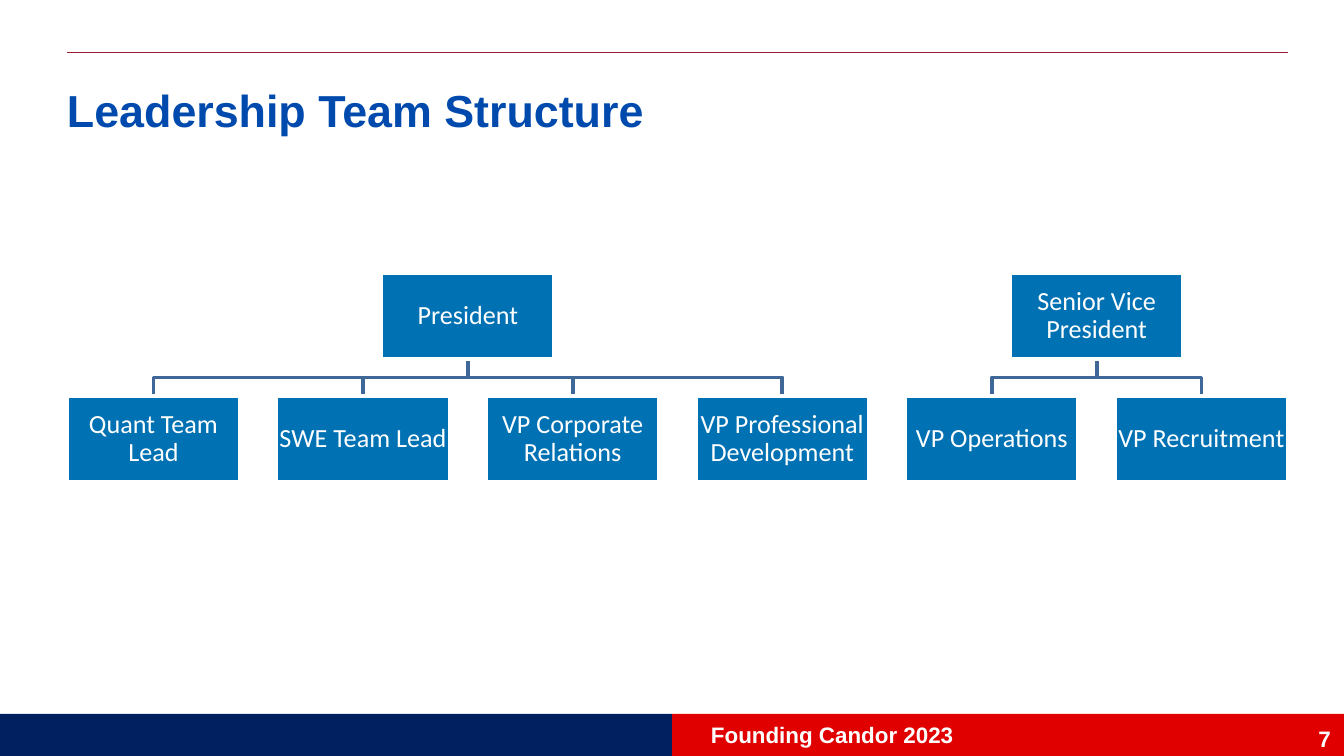
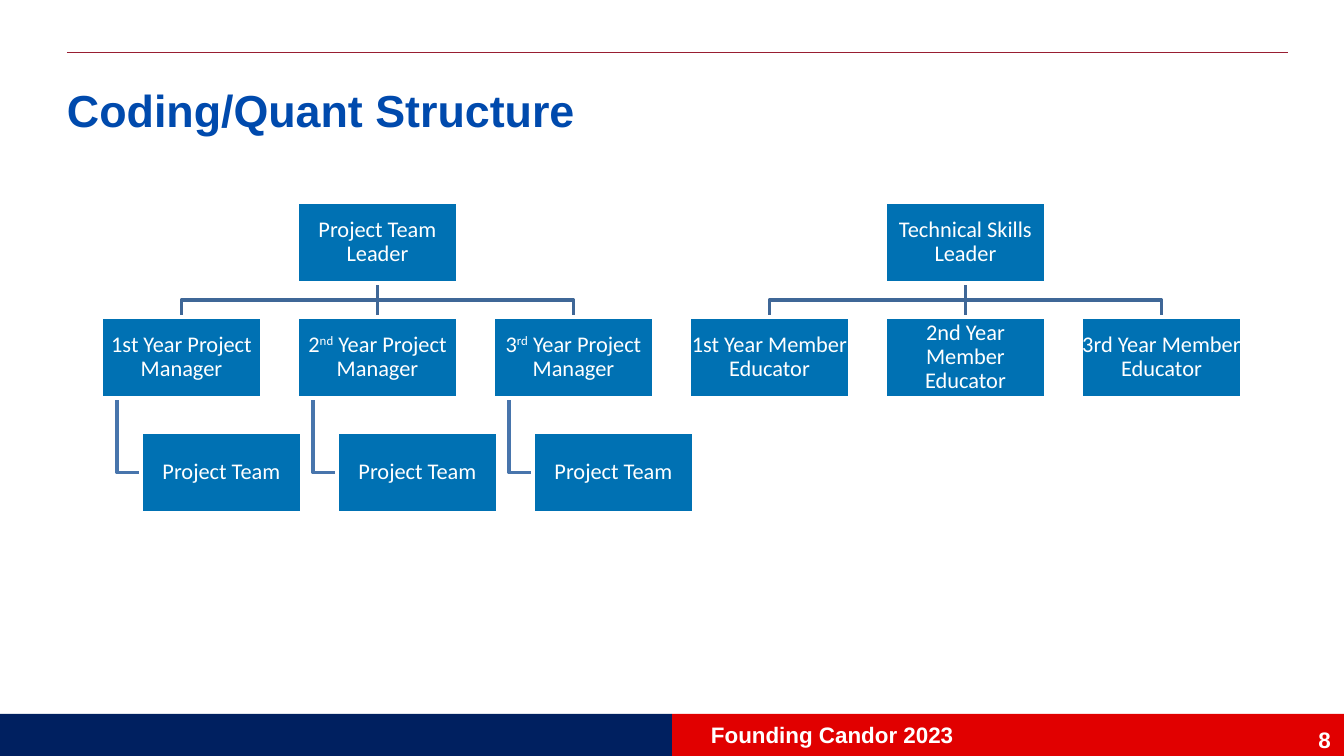
"""Build two team structure slides with a shared title, rule and footer."""
from lxml.etree import SubElement
from pptx import Presentation
from pptx.dml.color import RGBColor
from pptx.enum.shapes import MSO_CONNECTOR, MSO_SHAPE
from pptx.enum.text import MSO_ANCHOR, PP_ALIGN
from pptx.oxml.ns import qn
from pptx.util import Pt

DECK = [
    {
        "title": "Leadership Team Structure",
        "page": ("7", 719),
        "grid": {"left": 67, "right": 1288, "top": 273, "wide": 173,
                 "high": 86, "drop": 123, "size": 14},
        "teams": [
            ("President", [
                ("Quant Team Lead", None),
                ("SWE Team Lead", None),
                ("VP Corporate Relations", None),
                ("VP Professional Development", None),
            ]),
            ("Senior Vice President", [
                ("VP Operations", None),
                ("VP Recruitment", None),
            ]),
        ],
    },
    {
        "title": "Coding/Quant Structure",
        "page": ("8", 720),
        "grid": {"left": 101, "right": 1242, "top": 202, "wide": 161,
                 "high": 81, "drop": 115, "size": 12},
        "teams": [
            ("Project Team Leader", [
                ("1st Year Project Manager", "Project Team"),
                ("2^nd^ Year Project Manager", "Project Team"),
                ("3^rd^ Year Project Manager", "Project Team"),
            ]),
            ("Technical Skills Leader", [
                ("1st Year Member Educator", None),
                ("2nd Year Member Educator", None),
                ("3rd Year Member Educator", None),
            ]),
        ],
    },
]
FOOTER = "Founding Candor 2023"
WHITE, BLUE, TITLE = "FFFFFF", "0071B3", "004AAD"
NAVY, RED, RULE = "002060", "E10000", "981E32"
LINK, STEM = "3F6797", "4875AC"
WIDTH, HEIGHT, BAND = 1344, 756, 714
SCALE = 914400 / 134.4
INDENT, INSET = 40, 16


def px(num):
    """Turn pixels into EMU."""
    return round(num * SCALE)


def paint(fmt, tone):
    """Set a solid colour on a fill."""
    fmt.solid()
    fmt.fore_color.rgb = RGBColor.from_string(tone)


def stroke(line, tone, width):
    """Set the colour and width of a line."""
    paint(line.fill, tone)
    line.width = Pt(width)


def write(frame, text, size, font, tone, bold=False, align=None, pad=None):
    """Write text run by run, with parts between carets raised."""
    frame.word_wrap = True
    if pad is not None:
        frame.margin_left = frame.margin_right = px(pad)
        frame.margin_top = frame.margin_bottom = px(pad)
    para = frame.paragraphs[0]
    para.alignment = align
    for idx, part in enumerate(text.split("^")):
        run = para.add_run()
        run.text = part
        run.font.size = Pt(size)
        run.font.name = font
        run.font.bold = bold
        run.font.color.rgb = RGBColor.from_string(tone)
        if idx % 2:
            run._r.get_or_add_rPr().set("baseline", "30000")
    return para


def block(slide, x, y, w, h, tone):
    """Add a plain filled rectangle."""
    shape = slide.shapes.add_shape(MSO_SHAPE.RECTANGLE, px(x), px(y), px(w), px(h))
    shape.shadow.inherit = False
    paint(shape.fill, tone)
    shape.line.fill.background()
    return shape


def straight(slide, start, end, tone, width):
    """Add a straight connector."""
    line = slide.shapes.add_connector(
        MSO_CONNECTOR.STRAIGHT, *map(px, start), *map(px, end))
    stroke(line.line, tone, width)
    SubElement(line.element.spPr, qn("a:effectLst"))
    return line


def bend(slide, points, tone):
    """Add an open line through the points."""
    spots = [(px(x), px(y)) for x, y in points]
    path = slide.shapes.build_freeform(*spots[0])
    path.add_line_segments(spots[1:], close=False)
    shape = path.convert_to_shape()
    shape.shadow.inherit = False
    shape.fill.background()
    stroke(shape.line, tone, 2)


def dress(slide, layout):
    """Put the bands and the rule on the layout."""
    half = WIDTH / 2
    parts = [
        block(slide, half, BAND, half, HEIGHT - BAND, RED),
        block(slide, 0, BAND, half, HEIGHT - BAND, NAVY),
        straight(slide, (67, 53), (1288, 53), RULE, 0.5),
    ]
    for part in parts:
        layout.shapes.element.append(part.element)


def frame(slide, title, page):
    """Fill in the title, the footer and the page number."""
    head = slide.shapes.title
    head.left, head.top, head.width, head.height = map(px, (67, 70, 1221, 83))
    para = write(head.text_frame, title, 24, "Arial", TITLE, True, PP_ALIGN.LEFT, 0)
    para.line_spacing = 1.14
    head.text_frame.margin_top = px(5)
    head.text_frame.vertical_anchor = MSO_ANCHOR.TOP
    foot = slide.shapes.add_textbox(*map(px, (711, 719, 470, 32))).text_frame
    write(foot, FOOTER, 12, "Arial", WHITE, True, pad=0)
    foot.vertical_anchor = MSO_ANCHOR.MIDDLE
    num, top = page
    spot = slide.shapes.add_textbox(*map(px, (1231, top, 113, 32))).text_frame
    write(spot, num, 12, "Arial", WHITE, True, PP_ALIGN.RIGHT)


def place(teams, grid):
    """Work out the cards and the lines between them."""
    wide, high, drop = grid["wide"], grid["high"], grid["drop"]
    count = sum(len(staff) for _, staff in teams)
    step = (grid["right"] - grid["left"] - wide) / (count - 1)
    top, row, low = (grid["top"] + drop * n for n in range(3))
    cards, lines, col = [], [], 0
    for lead, staff in teams:
        left = grid["left"] + step * col
        head = left + step * (len(staff) - 1) / 2
        cards.append((lead, head, top))
        hub, base = head + wide / 2, top + high
        for idx, (name, team) in enumerate(staff):
            x = left + step * idx
            mid, turn = x + wide / 2, (base + row) / 2
            cards.append((name, x, row))
            if abs(mid - hub) < 1:
                lines.append(([(hub, base), (hub, row)], LINK))
            else:
                lines.append(([(hub, base), (hub, turn), (mid, turn), (mid, row)], LINK))
            if team:
                side, level = x + INSET, low + high / 2
                cards.append((team, x + INDENT, low))
                lines.append(([(side, row + high), (side, level),
                               (x + INDENT, level)], STEM))
        col += len(staff)
    return cards, lines


def chart(slide, teams, grid):
    """Draw the lines, then the cards on top."""
    cards, lines = place(teams, grid)
    for points, tone in lines:
        if len(points) == 2:
            straight(slide, *points, tone, 2)
        else:
            bend(slide, points, tone)
    for name, x, y in cards:
        card = block(slide, x, y, grid["wide"], grid["high"], BLUE)
        stroke(card.line, WHITE, 2)
        para = write(card.text_frame, name, grid["size"], "Calibri", WHITE,
                     align=PP_ALIGN.CENTER, pad=1)
        para.line_spacing = 0.9
        card.text_frame.vertical_anchor = MSO_ANCHOR.MIDDLE


def main():
    """Build and save the deck."""
    deck = Presentation()
    deck.slide_width, deck.slide_height = px(WIDTH), px(HEIGHT)
    layout = deck.slide_layouts[5]
    for idx, item in enumerate(DECK):
        slide = deck.slides.add_slide(layout)
        if idx == 0:
            dress(slide, layout)
        frame(slide, item["title"], item["page"])
        chart(slide, item["teams"], item["grid"])
    deck.save("out.pptx")


main()
